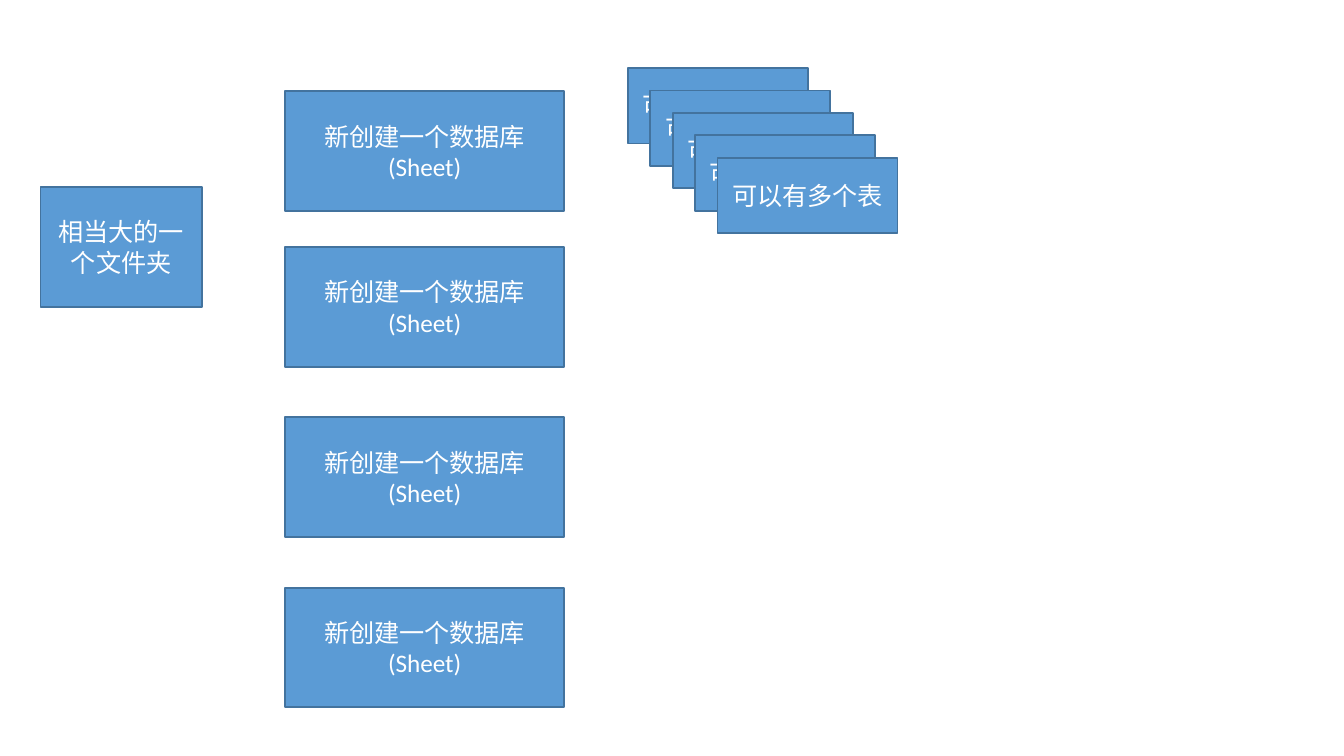
from pptx import Presentation
from pptx.dml.color import RGBColor
from pptx.enum.shapes import MSO_SHAPE as Shape
from pptx.enum.text import MSO_ANCHOR as Anchor, PP_ALIGN as Align
from pptx.util import Pt

FONT = "Calibri"
BOX_FILL = "5B9BD5"
BOX_LINE = "43739E"
TEXT_COLOR = "FFFFFF"

BOX_HEIGHT = 64.2
DATABASE_TOPS = (48.8, 132.3, 223.6, 314.8)
TABLE_COUNT = 5
TABLE_STEP = 12


def color(hex_value):
    return RGBColor.from_string(hex_value)


def write_text(frame, text, *, size=13.5, font=FONT, fill=TEXT_COLOR, align=Align.CENTER):
    """Fill the frame, one paragraph for each line of text."""
    frame.text = text
    for paragraph in frame.paragraphs:
        paragraph.alignment = align
        for run in paragraph.runs:
            run.font.size = Pt(size)
            run.font.name = font
            run.font.color.rgb = color(fill)


def add_box(slide, text, left, top, width, height):
    box = slide.shapes.add_shape(
        Shape.RECTANGLE, Pt(left), Pt(top), Pt(width), Pt(height))
    box.shadow.inherit = False
    box.fill.solid()
    box.fill.fore_color.rgb = color(BOX_FILL)
    box.line.color.rgb = color(BOX_LINE)
    box.line.width = Pt(1)

    frame = box.text_frame
    frame.word_wrap = True
    frame.vertical_anchor = Anchor.MIDDLE
    frame.margin_left = frame.margin_right = Pt(5.4)
    frame.margin_top = frame.margin_bottom = Pt(2.7)
    write_text(frame, text)


def add_databases(slide):
    for top in DATABASE_TOPS:
        add_box(slide, "新创建一个数据库\n(Sheet)", 152.8, top, 149.4, BOX_HEIGHT)


def add_table_stack(slide):
    """Overlapping boxes, each a step right of and below the one behind."""
    for index in range(TABLE_COUNT):
        offset = index * TABLE_STEP
        add_box(slide, "可以有多个表", 336.4 + offset, 36.5 + offset, 96.5, 40.4)


def main():
    presentation = Presentation()
    presentation.slide_width = Pt(720)
    presentation.slide_height = Pt(405)
    slide = presentation.slides.add_slide(presentation.slide_layouts[6])

    add_box(slide, "相当大的一个文件夹", 21.7, 100.2, 86.4, BOX_HEIGHT)
    add_databases(slide)
    add_table_stack(slide)

    presentation.save("out.pptx")


if __name__ == "__main__":
    main()
